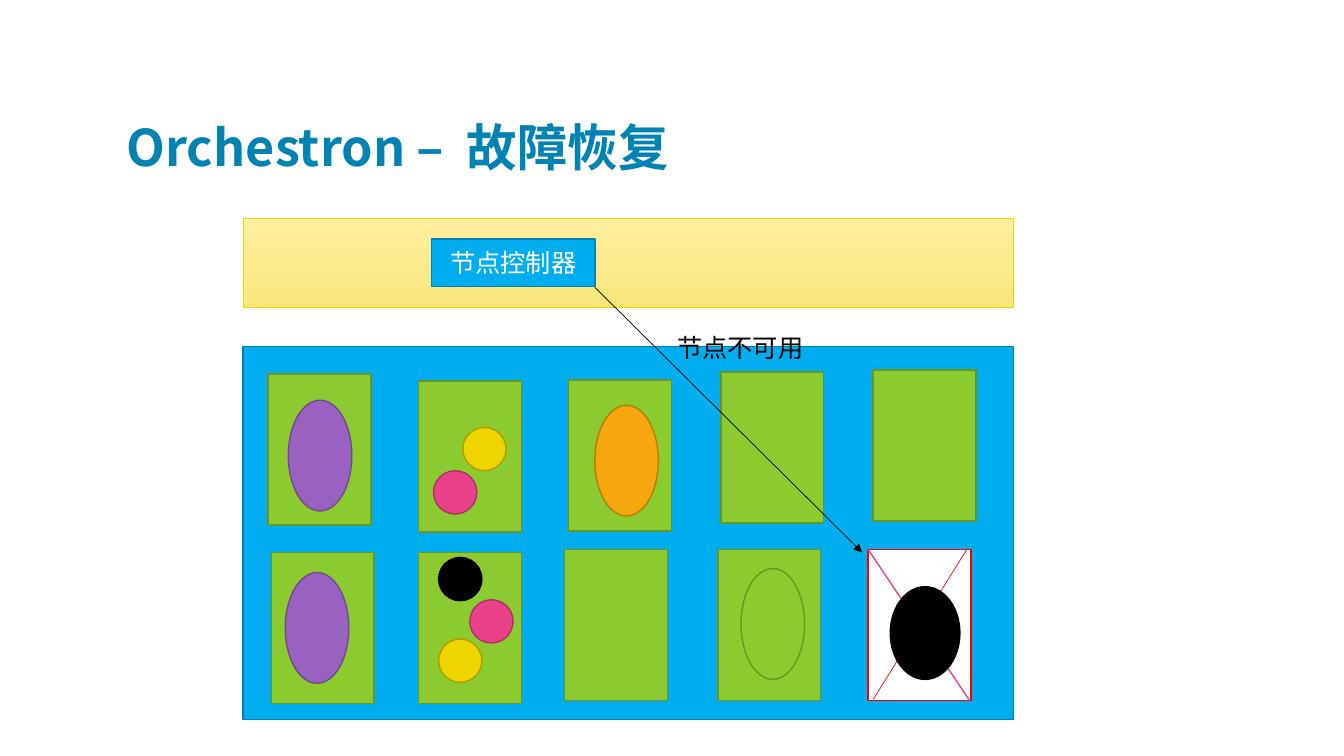
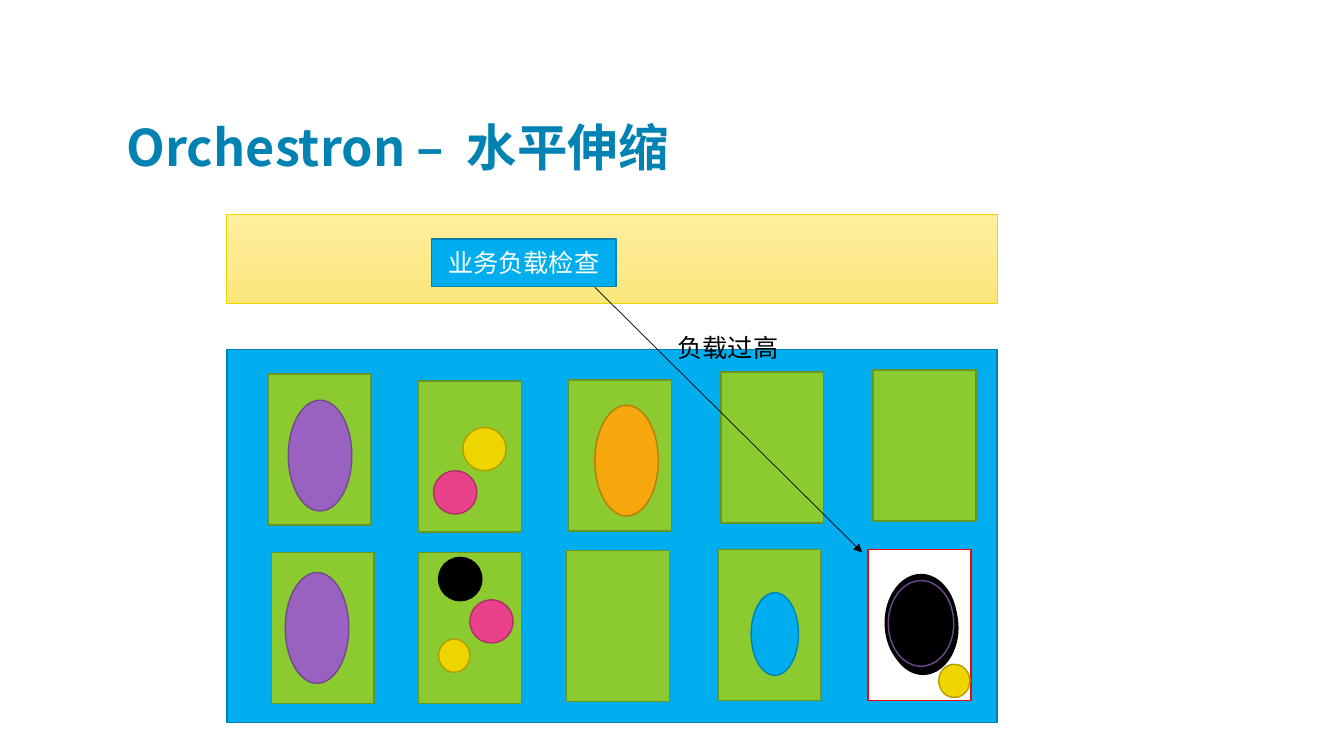
from pptx import Presentation
from pptx.dml.color import RGBColor
from pptx.enum.shapes import MSO_CONNECTOR, MSO_SHAPE
from pptx.enum.text import MSO_ANCHOR, PP_ALIGN
from pptx.oxml.ns import qn
from pptx.util import Inches, Pt
from lxml import etree

RECT, OVAL = MSO_SHAPE.RECTANGLE, MSO_SHAPE.OVAL
STRAIGHT = MSO_CONNECTOR.STRAIGHT
LEFT, CENTER = PP_ALIGN.LEFT, PP_ALIGN.CENTER
TOP, MIDDLE, BOTTOM = MSO_ANCHOR.TOP, MSO_ANCHOR.MIDDLE, MSO_ANCHOR.BOTTOM

# Colours
TITLE_BLUE = RGBColor(0x00, 0x83, 0xB3)
BLUE, BLUE_EDGE = RGBColor(0x00, 0xAE, 0xEF), RGBColor(0x00, 0x81, 0xB1)
GREEN, GREEN_EDGE = RGBColor(0x8B, 0xCB, 0x30), RGBColor(0x67, 0x96, 0x24)
PURPLE, PURPLE_EDGE = RGBColor(0x99, 0x62, 0xC1), RGBColor(0x71, 0x49, 0x8F)
YELLOW, YELLOW_EDGE = RGBColor(0xEE, 0xD5, 0x00), RGBColor(0xB0, 0x9E, 0x00)
PINK, PINK_EDGE = RGBColor(0xEA, 0x42, 0x8A), RGBColor(0xAD, 0x31, 0x66)
ORANGE, ORANGE_EDGE = RGBColor(0xF5, 0xA7, 0x0D), RGBColor(0xB5, 0x7C, 0x0A)
BLACK, WHITE = RGBColor(0, 0, 0), RGBColor(255, 255, 255)
RED = RGBColor(255, 0, 0)
BAND_TOP, BAND_BOTTOM = RGBColor(0xFF, 0xEE, 0x9E), RGBColor(0xFB, 0xE6, 0x7C)

# Fonts and the grid of nodes, in inches
CJK_FONT, LATIN_FONT = "Noto Sans CJK SC", "Lato"
GRID_LEFT, GRID_TOP = 2.66, 3.7
COLUMN, ROW = 1.5, 1.75
NODE = (1.02, 1.5)
PANEL_WIDTH = 7.64

# Pod sizes
TALL, ROUND, SMALL, WIDE = (0.63, 1.1), (0.43, 0.43), (0.31, 0.33), (0.69, 0.92)

# Nudge of each node from its grid cell, row by row
NODE_NUDGES = [
    [(0, 0.01), (-0.01, 0.08), (-0.02, 0.07), (-0.01, -0.01), (0, -0.03)],
    [(0.03, 0.03), (-0.01, 0.03), None, (-0.04, 0), (-0.05, 0)],
]
FAILED_NODE = (1, 4)

# Pods: row, column, offset in the cell, size, fill, edge
SHARED_PODS = [
    (0, 0, 0.2, 0.27, TALL, PURPLE, PURPLE_EDGE),
    (0, 1, 0.43, 0.54, ROUND, YELLOW, YELLOW_EDGE),
    (0, 1, 0.14, 0.97, ROUND, PINK, PINK_EDGE),
    (0, 2, 0.24, 0.32, TALL, ORANGE, ORANGE_EDGE),
    (1, 0, 0.17, 0.23, TALL, PURPLE, PURPLE_EDGE),
    (1, 1, 0.19, 0.08, ROUND, BLACK, BLACK),
    (1, 1, 0.5, 0.5, ROUND, PINK, PINK_EDGE),
]
SLIDES = [
    {
        "title": "故障恢复", "controller": "节点控制器", "controller_width": 1.62,
        "message": "节点不可用", "message_width": 1.46,
        "panel_left": 2.41, "band_top": 2.17, "cluster_top": 3.44,
        "third_nudge": (-0.06, 0),
        "cross": [(8.61, 5.45, 9.61, 6.94, PINK, 1), (9.59, 5.45, 8.66, 6.94, RED, 0.5)],
        "pods": [
            (1, 1, 0.19, 0.89, ROUND, YELLOW, YELLOW_EDGE),
            (1, 3, 0.19, 0.19, TALL, GREEN, GREEN_EDGE),
            (1, 4, 0.17, 0.37, WIDE, BLACK, BLACK),
        ],
    },
    {
        "title": "水平伸缩", "controller": "业务负载检查", "controller_width": 1.83,
        "message": "负载过高", "message_width": 1.21,
        "panel_left": 2.25, "band_top": 2.13, "cluster_top": 3.47,
        "third_nudge": (-0.04, 0.01),
        "cross": [],
        "pods": [
            (1, 1, 0.19, 0.89, SMALL, YELLOW, YELLOW_EDGE),
            (1, 3, 0.29, 0.43, (0.47, 0.82), BLUE, BLUE_EDGE),
            (1, 4, 0.15, 0.32, WIDE, BLACK, BLACK),
            (1, 4, 0.12, 0.25, (0.71, 0.96), BLACK, BLACK),
            (1, 4, 0.15, 0.31, (0.65, 0.85), BLACK, PURPLE_EDGE),
            (1, 4, 0.65, 1.14, SMALL, YELLOW, YELLOW_EDGE),
        ],
    },
]


def add_box(page, kind, left, top, size, fill, edge, weight=1):
    box = page.shapes.add_shape(kind, *[Inches(n) for n in (left, top, *size)])
    box.shadow.inherit = False
    box.fill.solid()
    box.fill.fore_color.rgb = fill
    box.line.color.rgb = edge
    box.line.width = Pt(weight)
    return box


def write(box, parts, size, font, color, anchor, align=LEFT, bold=False, wrap=True):
    frame = box.text_frame
    frame.word_wrap = wrap
    frame.vertical_anchor = anchor
    para = frame.paragraphs[0]
    para.alignment = align
    for part in parts:
        span = para.add_run()
        span.text = part
        span.font.size = Pt(size)
        span.font.bold = bold
        span.font.name = font
        span.font.color.rgb = color
        east_asian = etree.SubElement(span.font._element, qn("a:ea"))
        east_asian.set("typeface", CJK_FONT)
    return para


deck = Presentation()
deck.slide_width, deck.slide_height = Inches(13.33), Inches(7.5)

for content in SLIDES:
    page = deck.slides.add_slide(deck.slide_layouts[6])

    # Title, with a widened space after the dash
    title = page.shapes.add_textbox(Inches(1.16), Inches(0.58), Inches(9.5), Inches(1.17))
    title.text_frame.margin_bottom = 0
    para = write(title, ["Orchestron –", " ", content["title"]], 36, CJK_FONT,
                 TITLE_BLUE, BOTTOM, bold=True)
    para.runs[1].font._element.set("spc", "800")

    # Cluster panel and control band
    add_box(page, RECT, content["panel_left"], content["cluster_top"],
            (PANEL_WIDTH, 3.7), BLUE, BLUE_EDGE)
    band = add_box(page, RECT, content["panel_left"], content["band_top"],
                   (PANEL_WIDTH, 0.88), BAND_TOP, YELLOW, 0.5)
    band.fill.gradient()
    band.fill.gradient_angle = 270
    for stop, color in zip(band.fill.gradient_stops, (BAND_TOP, BAND_BOTTOM)):
        stop.color.rgb = color

    # Nodes
    for row, nudges in enumerate(NODE_NUDGES):
        for column, nudge in enumerate(nudges):
            right, down = nudge or content["third_nudge"]
            failed = (row, column) == FAILED_NODE
            add_box(page, RECT, GRID_LEFT + column * COLUMN + right,
                    GRID_TOP + row * ROW + down, NODE,
                    WHITE if failed else GREEN, RED if failed else GREEN_EDGE)

    # Cross on the failed node, then the arrow to it
    arrow = (5.9, 2.85, 8.55, 5.48, BLACK, 0.5)
    for *ends, color, weight in content["cross"] + [arrow]:
        line = page.shapes.add_connector(STRAIGHT, *[Inches(n) for n in ends])
        line.line.color.rgb = color
        line.line.width = Pt(weight)
        etree.SubElement(line._element.spPr, qn("a:effectLst"))
    etree.SubElement(line.line._get_or_add_ln(), qn("a:tailEnd")).set("type", "triangle")

    # Pods
    for row, column, right, down, size, fill, edge in SHARED_PODS + content["pods"]:
        add_box(page, OVAL, GRID_LEFT + column * COLUMN + right,
                GRID_TOP + row * ROW + down, size, fill, edge)

    # Controller and the message on its arrow
    controller = add_box(page, RECT, 4.28, 2.37, (content["controller_width"], 0.47),
                         BLUE, BLUE_EDGE)
    write(controller, [content["controller"]], 18, LATIN_FONT, WHITE, MIDDLE, CENTER)
    message = page.shapes.add_textbox(Inches(6.62), Inches(3.25),
                                      Inches(content["message_width"]), Inches(0.4))
    write(message, [content["message"]], 18, LATIN_FONT, BLACK, TOP, wrap=False)

deck.save("out.pptx")
